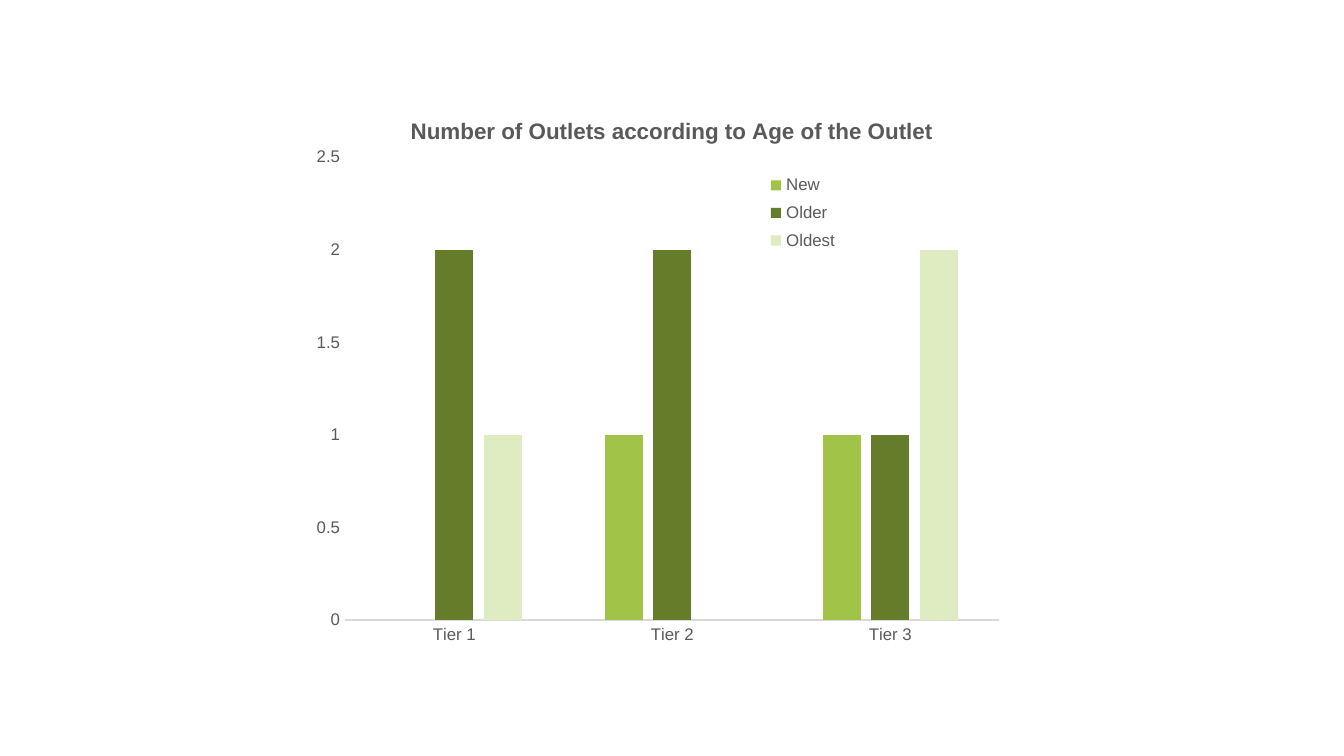
from lxml.etree import SubElement
from pptx import Presentation
from pptx.chart.data import CategoryChartData
from pptx.dml.color import RGBColor
from pptx.enum.chart import XL_CHART_TYPE, XL_LEGEND_POSITION, XL_TICK_MARK
from pptx.oxml import parse_xml
from pptx.oxml.ns import nsdecls, qn
from pptx.util import Inches, Pt

COLORS = {
    "text": "595959",
    "axis": "D9D9D9",
    "New": "A1C448",
    "Older": "657C2B",
    "Oldest": "DFEBC0",
}
OUTLETS = {"New": (None, 1, 1), "Older": (2, 2, 1), "Oldest": (1, None, 2)}


def write(para, text, size=9, bold=False, color="text", name="Arial"):
    span = para.add_run()
    span.text = text
    span.font.size = Pt(size)
    span.font.bold = bold
    span.font.name = name
    span.font.color.rgb = RGBColor.from_string(COLORS[color])


def place(parent, index, percents, inner=False):
    for old in parent.findall(qn("c:layout")):
        parent.remove(old)
    layout = parse_xml(f"<c:layout {nsdecls('c')}><c:manualLayout/></c:layout>")
    settings = {"layoutTarget": "inner"} if inner else {}
    settings |= {"xMode": "edge", "yMode": "edge"}
    settings |= {tag: round(percent / 100, 3) for tag, percent in zip("xywh", percents)}
    for tag, value in settings.items():
        SubElement(layout[0], qn(f"c:{tag}")).set("val", str(value))
    parent.insert(index, layout)


deck = Presentation()
deck.slide_width = Inches(10)
deck.slide_height = deck.slide_width * 9 // 16
page = deck.slides.add_slide(deck.slide_layouts[6])

data = CategoryChartData()
data.categories = ["Tier 1", "Tier 2", "Tier 3"]
for age, counts in OUTLETS.items():
    data.add_series(age, counts)

width, height = int(deck.slide_width * 0.56), int(deck.slide_height * 0.75)
left, top = (deck.slide_width - width) // 2, (deck.slide_height - height) // 2
chart = page.shapes.add_chart(XL_CHART_TYPE.COLUMN_CLUSTERED, left, top, width, height, data).chart
chart.font.name = "Arial"
chart.font.size = Pt(10)

chart.has_title = True
chart.chart_title.include_in_layout = False
write(chart.chart_title.text_frame.paragraphs[0],
      "Number of Outlets according to Age of the Outlet", size=12, bold=True)

plot = chart.plots[0]
plot.gap_width = 219
plot.overlap = -27
plot.vary_by_categories = False
for series in plot.series:
    series.format.fill.solid()
    series.format.fill.fore_color.rgb = RGBColor.from_string(COLORS[series.name])
    series.invert_if_negative = False

for axis in (chart.category_axis, chart.value_axis):
    axis.major_tick_mark = axis.minor_tick_mark = XL_TICK_MARK.NONE
    axis.has_major_gridlines = False
chart.category_axis.format.line.color.rgb = RGBColor.from_string(COLORS["axis"])
chart.category_axis.format.line.width = Pt(0.75)
chart.value_axis.format.line.fill.background()
chart.value_axis.minimum_scale = 0
chart.value_axis.maximum_scale = 2.5
chart.value_axis.major_unit = 0.5
chart.value_axis.tick_labels.number_format = "General"
chart.value_axis.tick_labels.number_format_is_linked = False

chart.has_legend = True
legend = chart.legend
legend.position = XL_LEGEND_POSITION.RIGHT
legend.include_in_layout = False
for font in (legend.font, chart.category_axis.tick_labels.font, chart.value_axis.tick_labels.font):
    font.size = Pt(9)
    font.name = "Arial"
    font.color.rgb = RGBColor.from_string(COLORS["text"])

plot_area = chart._chartSpace.find(f".//{qn('c:plotArea')}")
legend_part = chart._chartSpace.find(f".//{qn('c:legend')}")
place(plot_area, 0, (6.6, 11.1, 86.9, 81.6), inner=True)
place(legend_part, 1, (60.9, 12.9, 13, 16))

deck.save("out.pptx")
